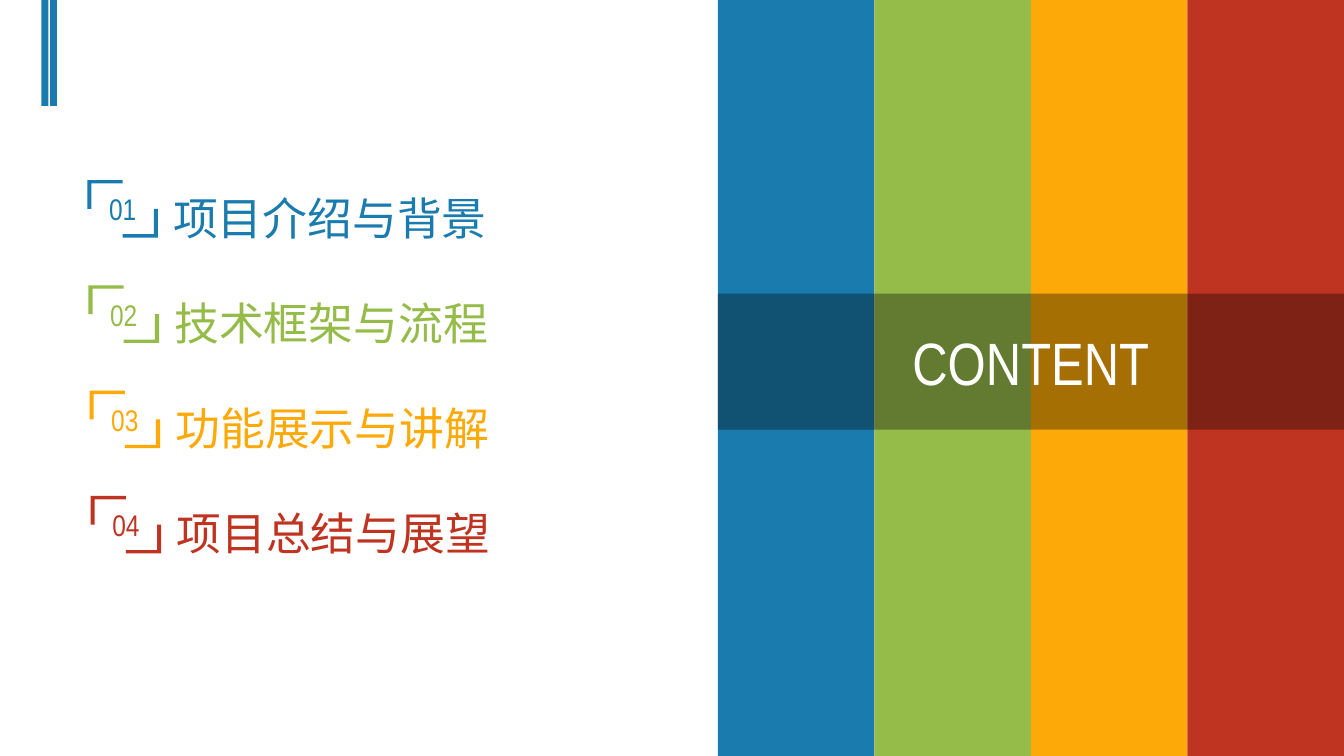
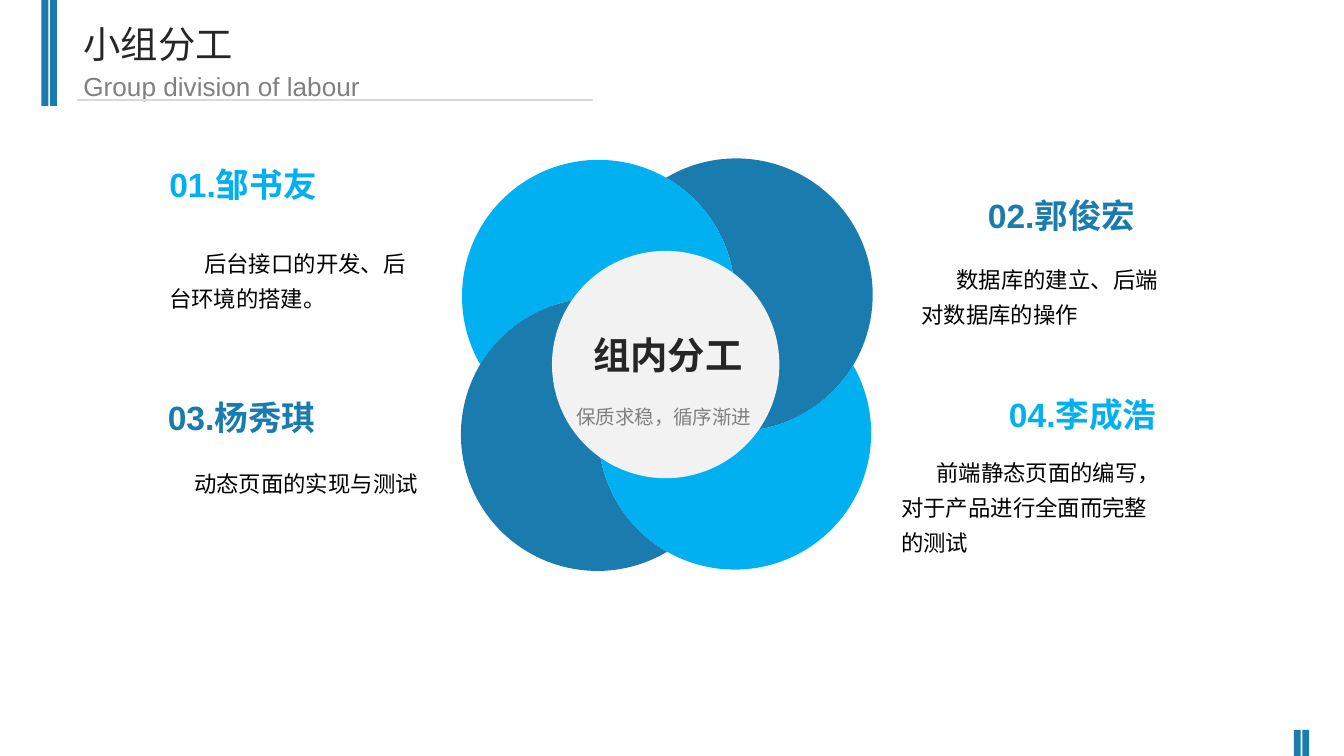
import math
from dataclasses import dataclass
from typing import Optional

import pptx
import pptx.dml.color
import pptx.enum.shapes
import pptx.enum.text
import pptx.oxml
import pptx.oxml.ns
import pptx.util

Pt = pptx.util.Pt
ALIGN = pptx.enum.text.PP_ALIGN
SHAPE = pptx.enum.shapes.MSO_SHAPE

WIDTH, HEIGHT = 720, 405
COLOURS = {
    "blue": "1A7BAE", "green": "95BC49", "orange": "FDA907", "red": "BF3420",
    "cyan": "00B0F0", "disc": "F2F2F2", "rule": "D9D9D9", "ink": "262626",
    "grey": "808080", "black": "000000", "white": "FFFFFF",
}
SANS, NARROW, CJK = "Arial", "Arial Narrow", "Noto Sans CJK SC"


@dataclass(frozen=True)
class Area:
    left: float
    top: float
    width: float
    height: float


@dataclass(frozen=True)
class Style:
    size: float
    colour: str
    font: str = SANS
    bold: bool = False
    align: Optional[ALIGN] = None
    spacing: Optional[float] = None
    before: float = 0
    indent: float = 0


@dataclass(frozen=True)
class Chapter:
    title: str
    colour: str


@dataclass(frozen=True)
class Member:
    name: str
    duty: str
    colour: str
    name_area: Area
    duty_area: Area
    align: Optional[ALIGN] = None
    indent: float = 18.8


@dataclass(frozen=True)
class Petal:
    x: float
    y: float
    colour: str


CHAPTERS = [
    Chapter("项目介绍与背景", "blue"),
    Chapter("技术框架与流程", "green"),
    Chapter("功能展示与讲解", "orange"),
    Chapter("项目总结与展望", "red"),
]
MEMBERS = [
    Member("01.邹书友", "后台接口的开发、后台环境的搭建。", "cyan",
           Area(83.6, 84.2, 152.6, 29), Area(83.5, 126, 152.6, 43)),
    Member("03.杨秀琪", "动态页面的实现与测试", "blue",
           Area(82.8, 209.3, 152.6, 29), Area(83.5, 244, 152.6, 24.5), indent=13.4),
    Member("02.郭俊宏", "数据库的建立、后端对数据库的操作", "blue",
           Area(462.7, 101, 152.6, 29), Area(486.5, 134.6, 152.6, 43), ALIGN.RIGHT),
    Member("04.李成浩", "前端静态页面的编写，对于产品进行全面而完整的测试", "cyan",
           Area(474, 207.6, 152.6, 29), Area(475.7, 238.2, 152.6, 62), ALIGN.RIGHT),
]
# Each petal is overlapped by the next one, all the way round
PETALS = [
    Petal(394.4, 158, "blue"),
    Petal(320.6, 158.8, "cyan"),
    Petal(320, 232.8, "blue"),
    Petal(393.6, 232.1, "cyan"),
]
PETAL_RADIUS = 73.1
PETAL_TURN = 45


def rgb(name: str) -> pptx.dml.color.RGBColor:
    return pptx.dml.color.RGBColor.from_string(COLOURS[name])


def element(markup: str):
    """Drawing element from its tag and attributes or content."""
    tag, _, rest = markup.partition(" ")
    return pptx.oxml.parse_xml(f'<a:{tag} {pptx.oxml.ns.nsdecls("a")} {rest}')


def paint(shape, colour: str) -> None:
    shape.shadow.inherit = False
    shape.fill.solid()
    shape.fill.fore_color.rgb = rgb(colour)
    shape.line.fill.background()


def write(shape, text: str, style: Style) -> None:
    frame = shape.text_frame
    frame.word_wrap = True
    para = frame.paragraphs[0]
    para.alignment = style.align
    para.line_spacing = style.spacing
    para.space_before = Pt(style.before)
    if style.indent:
        para._p.get_or_add_pPr().set("indent", str(Pt(style.indent)))
    span = para.add_run()
    span.text = text
    span.font.size = Pt(style.size)
    span.font.name = style.font
    span.font.bold = style.bold
    span.font.color.rgb = rgb(style.colour)
    latin = span.font._element.find(pptx.oxml.ns.qn("a:latin"))
    latin.addnext(element(f'ea typeface="{CJK}"/>'))


def bounds(area: Area) -> tuple:
    return Pt(area.left), Pt(area.top), Pt(area.width), Pt(area.height)


def add_text(page, area: Area, text: str, style: Style) -> None:
    box = page.shapes.add_textbox(*bounds(area))
    write(box, text, style)
    box.text_frame.auto_size = pptx.enum.text.MSO_AUTO_SIZE.SHAPE_TO_FIT_TEXT


def add_block(page, area: Area, colour: str, kind=SHAPE.RECTANGLE):
    block = page.shapes.add_shape(kind, *bounds(area))
    paint(block, colour)
    return block


def add_outline(page, contours: list, colour: str):
    builder = None
    for contour in contours:
        points = [(Pt(x), Pt(y)) for x, y in contour]
        if builder is None:
            builder = page.shapes.build_freeform(*points[0])
        else:
            builder.move_to(*points[0])
        builder.add_line_segments(points[1:], close=True)
    outline = builder.convert_to_shape()
    paint(outline, colour)
    return outline


def add_page(deck):
    """Blank page with the paired bars at top left and bottom right."""
    page = deck.slides.add_slide(deck.slide_layouts[6])
    for left, top, height in ((22.2, 0, 56.8), (693.1, 391, 14)):
        for step in range(2):
            add_block(page, Area(left + 4.6 * step, top, 3.7, height), "blue")
    return page


def add_header(page, title: str, subtitle: str) -> None:
    add_text(page, Area(37.6, 7.9, 304.6, 31.7), title, Style(20, "ink", NARROW))
    add_text(page, Area(37.6, 34.1, 304.6, 24.5), subtitle, Style(14, "grey"))
    rule = page.shapes.add_connector(
        pptx.enum.shapes.MSO_CONNECTOR.STRAIGHT, Pt(41.2), Pt(53.6), Pt(317.6), Pt(53.6))
    rule.line.color.rgb = rgb("rule")
    rule.line.width = Pt(0.75)
    rule._element.spPr.append(element("effectLst />"))


def add_bracket(page, left: float, top: float, number: str, colour: str) -> None:
    """Two facing corners; the lower one is the upper one turned half round."""
    width, height, across, down = 37.8, 30.8, 2.2, 1.8
    corner = [(0, 0), (width / 2, 0), (width / 2, down),
              (across, down), (across, height / 2), (0, height / 2)]
    upper = [(left + x, top + y) for x, y in corner]
    lower = [(left + width - x, top + height - y) for x, y in corner]
    bracket = add_outline(page, [lower, upper], colour)
    bracket.text_frame.vertical_anchor = pptx.enum.text.MSO_ANCHOR.MIDDLE
    write(bracket, number, Style(16, colour, NARROW, align=ALIGN.CENTER))


def arc(x: float, y: float, start: float, end: float, pieces: int) -> list:
    """Start point, then two handles and an end point for each Bezier piece."""
    step = (end - start) / pieces
    handle = 4 / 3 * math.tan(step / 4)

    def place(angle: float, pull: float) -> tuple:
        return (x + PETAL_RADIUS * (math.cos(angle) - pull * math.sin(angle)),
                y + PETAL_RADIUS * (math.sin(angle) + pull * math.cos(angle)))

    points = [place(start, 0)]
    for piece in range(pieces):
        first, last = start + step * piece, start + step * (piece + 1)
        points += [place(first, handle), place(last, -handle), place(last, 0)]
    return points


def add_petal(page, petal: Petal, cover: Petal) -> None:
    """Circle without the part that lies under the covering circle."""
    radius = PETAL_RADIUS
    frame = [(petal.x + x * radius, petal.y + y * radius)
             for x, y in ((-1, -1), (1, -1), (1, 1), (-1, 1))]
    shape = add_outline(page, [frame], petal.colour)
    shape.rotation = PETAL_TURN

    # Crescent inside the turned frame
    across, down = cover.x - petal.x, cover.y - petal.y
    distance = math.hypot(across, down)
    facing = math.atan2(down, across) - math.radians(PETAL_TURN)
    half = math.acos(distance / 2 / radius)
    outer = arc(radius, radius, facing + half, facing + 2 * math.pi - half, 3)
    inner = arc(radius + distance * math.cos(facing), radius + distance * math.sin(facing),
                facing + math.pi + half, facing + math.pi - half, 2)
    marks = [f'<a:pt x="{Pt(x)}" y="{Pt(y)}"/>' for x, y in outer + inner[1:]]

    # Curves in place of the frame's straight sides
    track = shape._element.spPr.find(".//" + pptx.oxml.ns.qn("a:path"))
    for side in list(track):
        track.remove(side)
    track.append(element(f"moveTo >{marks[0]}</a:moveTo>"))
    for index in range(1, len(marks), 3):
        curve = "".join(marks[index:index + 3])
        track.append(element(f"cubicBezTo >{curve}</a:cubicBezTo>"))
    track.append(element("close />"))


def build_contents(deck) -> None:
    page = add_page(deck)

    # Chapter list
    for index, chapter in enumerate(CHAPTERS):
        left, top = 46.8 + 0.6 * index, 96.5 + 56.4 * index
        add_text(page, Area(left + 38.9, top + 1.9, 286.6, 36), chapter.title,
                 Style(24, chapter.colour))
        add_bracket(page, left, top, f"{index + 1:02}", chapter.colour)

    # Colour columns
    start = 384.6
    width = (WIDTH - start) / len(CHAPTERS)
    for index, chapter in enumerate(CHAPTERS):
        add_block(page, Area(start + width * index, 0, width, HEIGHT), chapter.colour)

    # Translucent title band
    band = add_block(page, Area(start, 157.3, WIDTH - start, 72.9), "black")
    shade = band._element.spPr.find(".//" + pptx.oxml.ns.qn("a:srgbClr"))
    shade.append(element('alpha val="34000"/>'))
    band.text_frame.vertical_anchor = pptx.enum.text.MSO_ANCHOR.MIDDLE
    write(band, "CONTENT", Style(32, "white", NARROW, align=ALIGN.CENTER))


def build_team(deck) -> None:
    page = add_page(deck)
    add_header(page, "小组分工", "Group division of labour")

    # Interlocking petals around the disc
    for index, petal in enumerate(PETALS):
        add_petal(page, petal, PETALS[(index + 1) % len(PETALS)])
    add_block(page, Area(295.7, 134.4, 121.8, 121.8), "disc", SHAPE.OVAL)
    add_text(page, Area(288, 174.2, 139.7, 31.7), "组内分工",
             Style(20, "ink", CJK, bold=True, align=ALIGN.CENTER))
    add_text(page, Area(297.4, 209.5, 116.6, 22.3), "保质求稳，循序渐进",
             Style(10.5, "grey", align=ALIGN.CENTER, spacing=1.3, before=6))

    # Members and duties
    for member in MEMBERS:
        add_text(page, member.name_area, member.name,
                 Style(18, member.colour, bold=True, align=member.align))
        add_text(page, member.duty_area, member.duty,
                 Style(12, "black", spacing=1.3, before=6, indent=member.indent))


def main() -> None:
    deck = pptx.Presentation()
    deck.slide_width, deck.slide_height = Pt(WIDTH), Pt(HEIGHT)
    build_contents(deck)
    build_team(deck)
    deck.save("out.pptx")


if __name__ == "__main__":
    main()
